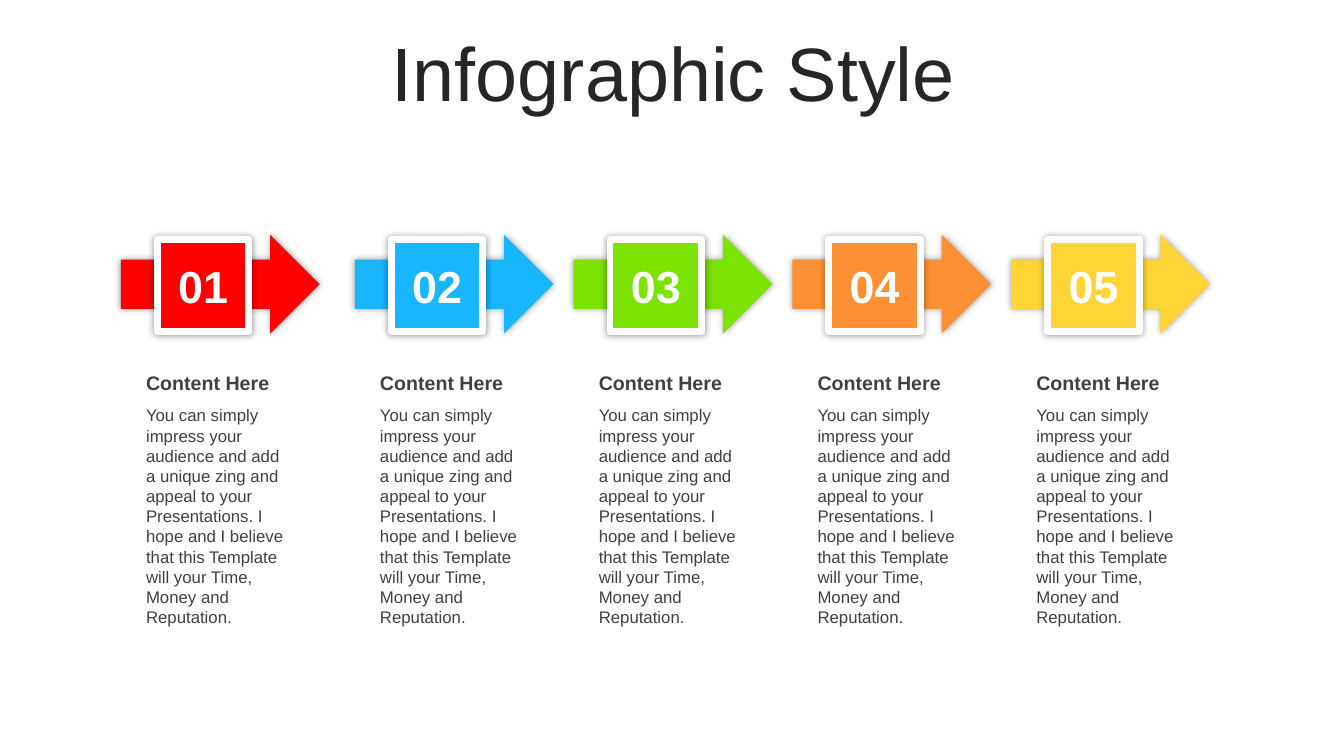
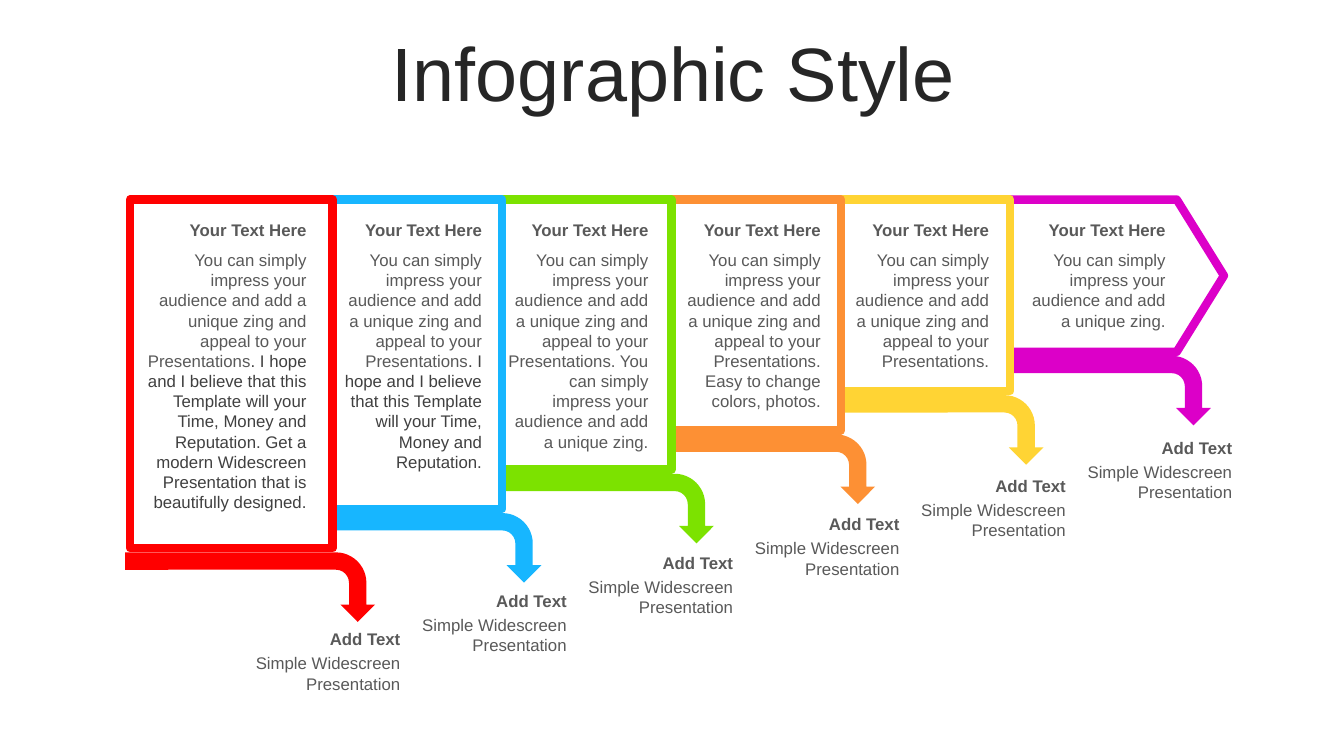
from dataclasses import dataclass

from pptx import Presentation
from pptx.dml.color import RGBColor
from pptx.enum import shapes as sh, text as tx
from pptx.oxml import parse_xml
from pptx.oxml.ns import nsdecls
from pptx.util import Inches, Pt


@dataclass(frozen=True)
class Theme:
    font: str = "Arial"
    ink: str = "262626"
    dark: str = "404040"
    gray: str = "595959"
    white: str = "FFFFFF"
    hues: tuple = ("FF0000", "17B6FF", "7CE200", "FD9034", "FFD434", "DC00C8")
    title: int = 54
    number: int = 32
    head: int = 14
    body: int = 12


T = Theme()
LEFT, MID, RIGHT = tx.PP_ALIGN.LEFT, tx.PP_ALIGN.CENTER, tx.PP_ALIGN.RIGHT

# Content
TITLE = "Infographic Style"
ZING = "You can simply impress your audience and add a unique zing"
APPEAL = ZING + " and appeal to your Presentations"
HOPE = (". I hope and I believe that this Template will your Time, "
        "Money and Reputation.")
STEPS = ["01", "02", "03", "04", "05"]
STEP_HEAD = "Content Here"
CARD_HEAD = "Your Text Here"
TAG_HEAD, TAG_BODY = "Add Text", "Simple Widescreen Presentation"
# Each card: gray text, dark text, lines, text left and width,
# arrow left and length
CARDS = [
    (APPEAL, HOPE + " Get a modern Widescreen Presentation that is "
     "beautifully designed.", 13, 1.35, 1.79, 1.24, 2.48),
    (APPEAL, HOPE, 11, 3.28, 1.6, 3.2, 2.17),
    (APPEAL + ". " + ZING + ".", "", 10, 4.94, 1.59, 4.98, 2.1),
    (APPEAL + ". Easy to change colors, photos.", "", 8, 6.62, 1.62, 6.66, 2.02),
    (APPEAL + ".", "", 6, 8.34, 1.57, 8.36, 1.99),
    (ZING + ".", "", 4, 10.07, 1.59, 10.04, 1.97),
]


# Shared helpers
def rgb(code):
    return RGBColor.from_string(code)


def style(para, size, color, align, bold=False):
    para.alignment = align
    font = para.font
    font.name, font.size, font.bold = T.font, Pt(size), bold
    font.color.rgb = rgb(color)


def start(deck):
    slide = deck.slides.add_slide(deck.slide_layouts[5])
    title = slide.shapes.title
    title.left, title.top = Inches(0.35), Inches(0.37)
    title.width, title.height = Inches(12.66), Inches(0.79)
    frame = title.text_frame
    frame.text = TITLE
    frame.auto_size = tx.MSO_AUTO_SIZE.NONE
    frame.vertical_anchor = tx.MSO_ANCHOR.MIDDLE
    para = frame.paragraphs[0]
    para.line_spacing, para.space_before = 0.9, Pt(0)
    style(para, T.title, T.ink, MID)
    return slide


def draw(slide, kind, box, fill, line=None, width=0):
    shape = slide.shapes.add_shape(kind, *map(Inches, box))
    shape.shadow.inherit = False
    shape.fill.solid()
    shape.fill.fore_color.rgb = rgb(fill)
    if line:
        shape.line.color.rgb = rgb(line)
        shape.line.width = Pt(width)
    else:
        shape.line.fill.background()
    return shape


def glow(shape):
    """Soft, centred black shadow."""
    effects = shape._element.spPr.find(
        "{http://schemas.openxmlformats.org/drawingml/2006/main}effectLst")
    effects.append(parse_xml(
        f'<a:outerShdw {nsdecls("a")} blurRad="{Pt(5)}" dist="0" '
        'algn="ctr" rotWithShape="0"><a:srgbClr val="000000">'
        '<a:alpha val="40000"/></a:srgbClr></a:outerShdw>'))


def write(slide, box, parts, size, align, bold=False):
    """One paragraph made of (text, colour) parts."""
    frame = slide.shapes.add_textbox(*map(Inches, box)).text_frame
    frame.word_wrap = True
    frame.auto_size = tx.MSO_AUTO_SIZE.SHAPE_TO_FIT_TEXT
    para = frame.paragraphs[0]
    style(para, size, parts[0][1], align, bold)
    for text, color in parts:
        if text:
            run = para.add_run()
            run.text = text
            if color != parts[0][1]:
                run.font.color.rgb = rgb(color)


def note(slide, head, parts, left, top, width, lines,
         gap=0.3, size=T.body, align=RIGHT):
    """Bold heading with body text below it."""
    write(slide, (left, top, width, gap), [(head, parts[0][1])],
          size, align, True)
    write(slide, (left, top + gap, width, 0.1 + 0.2 * lines),
          parts, T.body, align)


# Numbered arrows
def steps(deck):
    slide = start(deck)
    for i, (label, hue) in enumerate(zip(STEPS, T.hues)):
        left = 3.52 + 2.17 * (i - 1) if i else 1.2
        glow(draw(slide, sh.MSO_SHAPE.RIGHT_ARROW,
                  (left, 2.33, 1.97, 0.98), hue))
        tile = draw(slide, sh.MSO_SHAPE.RECTANGLE,
                    (left + 0.36, 2.38, 0.91, 0.91), hue, T.white, 5)
        glow(tile)
        frame = tile.text_frame
        frame.margin_left = frame.margin_right = 0
        frame.margin_top = frame.margin_bottom = 0
        frame.vertical_anchor = tx.MSO_ANCHOR.MIDDLE
        frame.text = label
        style(frame.paragraphs[0], T.number, T.white, MID, True)
        note(slide, STEP_HEAD, [(APPEAL + HOPE, T.dark)], left + 0.15, 3.63,
             1.58, 11, gap=0.34, size=T.head, align=LEFT)


# Descending cards, right to left so that each overlaps the next
def cards(deck):
    slide = start(deck)
    top, thick = 1.98, 0.69
    last = len(CARDS) - 1
    for i in range(last, -1, -1):
        gray, dark, lines, left, width, tail, length = CARDS[i]
        hue, high = T.hues[i], 3.46 - 0.39 * i
        mid = top + high + 0.04 + thick / 2
        bend = draw(slide, sh.MSO_SHAPE.BENT_ARROW,
                    (tail + (length - thick) / 2, mid - length / 2,
                     thick, length), hue)
        bend.rotation = 90

        edge = 2.81 + 1.68 * (i - 1) if i else 1.29
        wide = {0: 2.01, last: 2.33}.get(i, 2.17)
        kind = sh.MSO_SHAPE.PENTAGON if i == last else sh.MSO_SHAPE.RECTANGLE
        card = draw(slide, kind, (edge, top, wide, high), T.white, hue, 6)
        if i == last:
            card.left = Inches(9.81)
            card.adjustments[0] = 0.31

        note(slide, CARD_HEAD, [(gray, T.gray), (dark, T.dark)],
             left, 2.13, width, lines)
        note(slide, TAG_HEAD, [(TAG_BODY, T.gray)], 2.22 + 1.65 * i,
             6.19 - 0.38 * i, 1.85, 2, gap=0.24)


def main():
    deck = Presentation()
    deck.slide_width, deck.slide_height = Inches(13.33), Inches(7.5)
    steps(deck)
    cards(deck)
    deck.save("out.pptx")


if __name__ == "__main__":
    main()
